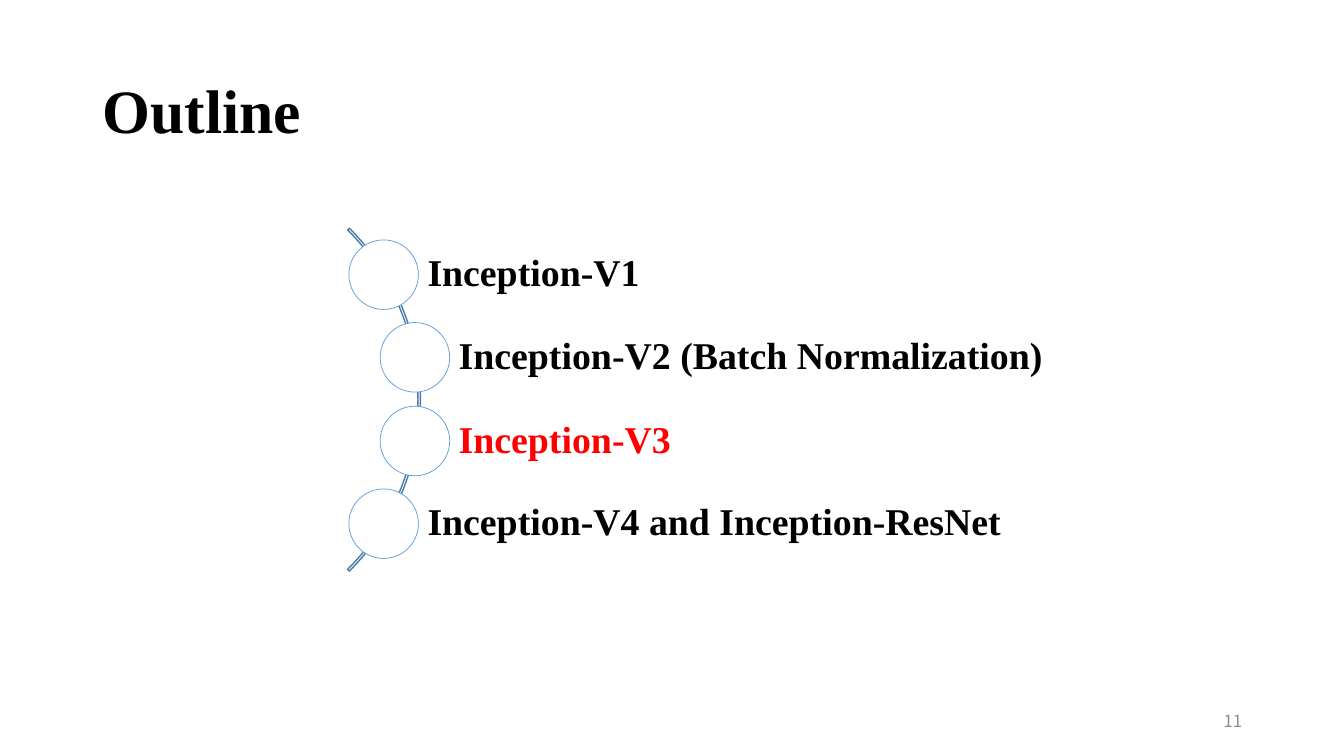
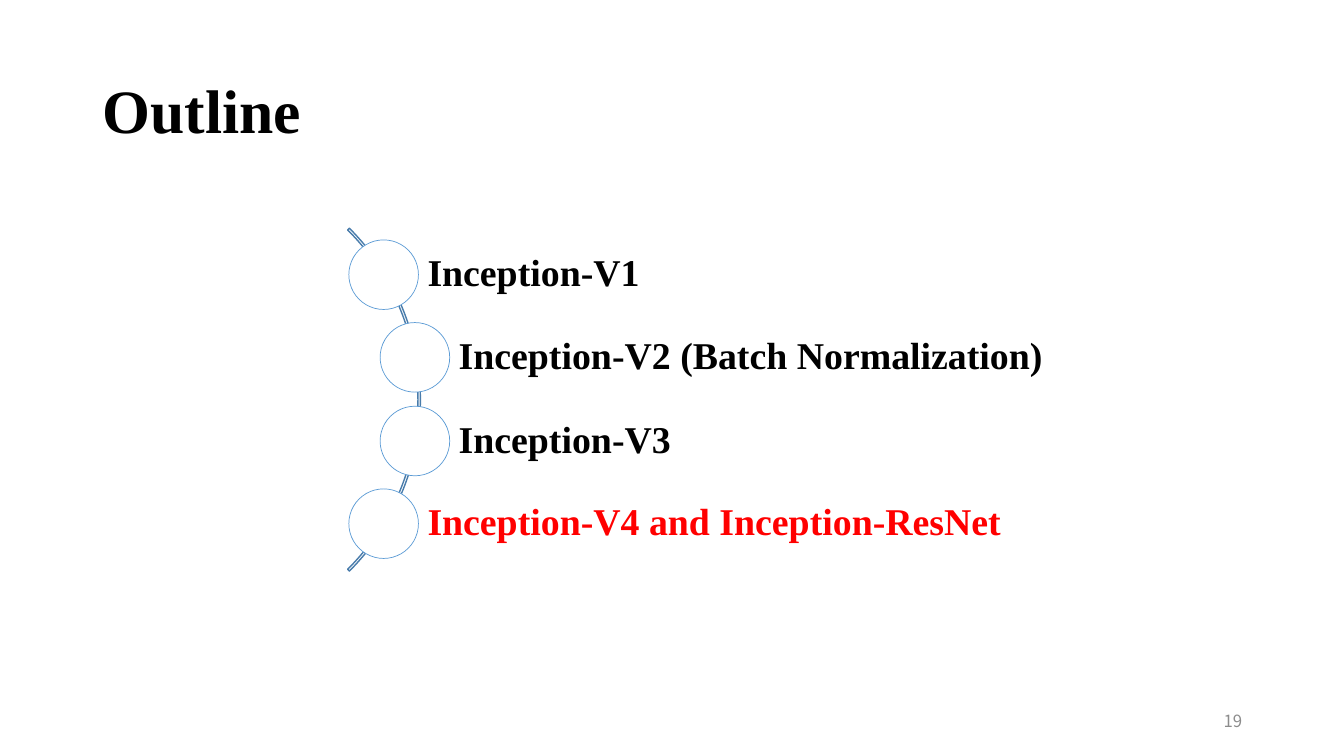
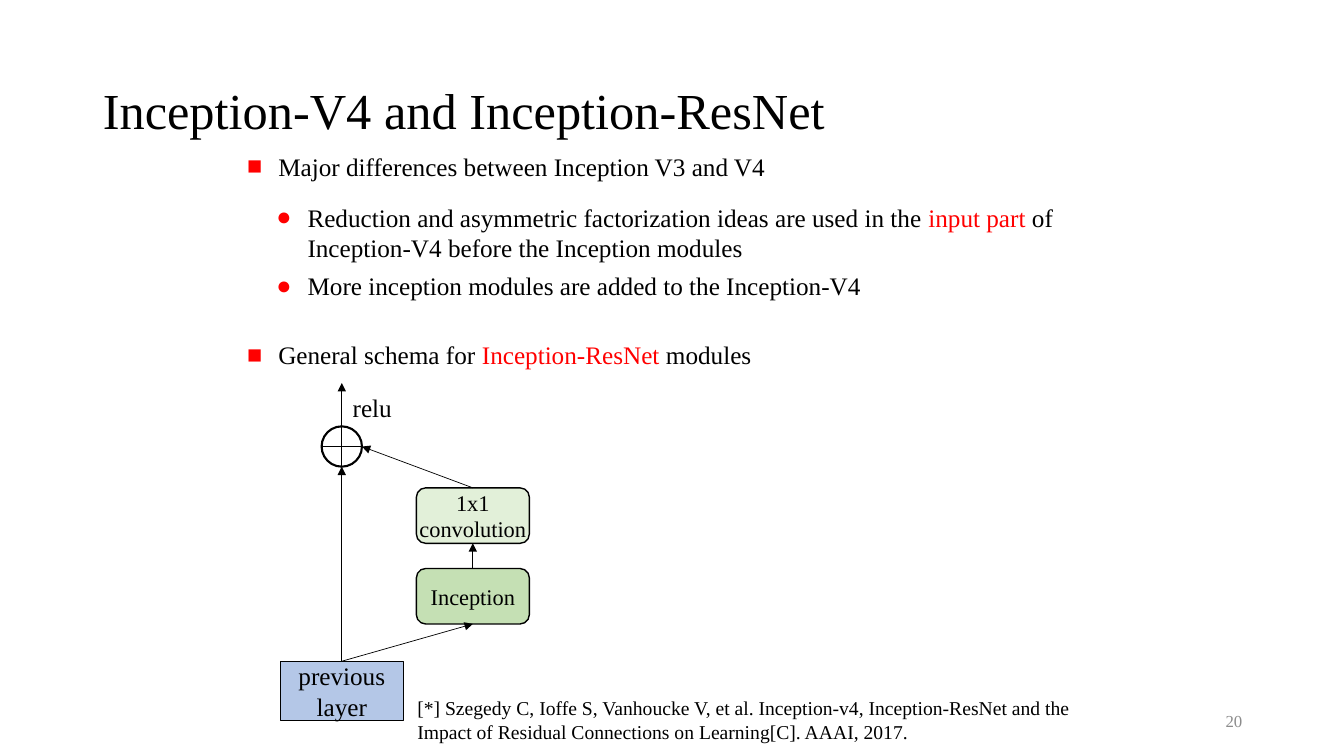
from lxml.etree import SubElement
from pptx import Presentation
from pptx.dml.color import RGBColor
from pptx.enum.shapes import MSO_CONNECTOR as LINK, MSO_SHAPE as SHAPE
from pptx.enum.text import MSO_ANCHOR as ANCHOR, MSO_AUTO_SIZE as FIT, PP_ALIGN as ALIGN
from pptx.oxml.ns import qn
from pptx.util import Emu, Pt

SCALE = 9144  # EMU per px, 100 px to the inch
SERIF, SANS = "Times New Roman", "Noto Sans CJK SC"
BLACK, WHITE, RED, GREY = "000000", "FFFFFF", "FF0000", "8C8C8C"
ARC, RING = "497CAB", "5B9BD5"

TOPICS = ["Inception-V1", "Inception-V2 (Batch Normalization)",
          "Inception-V3", "Inception-V4 and Inception-ResNet"]
SHIFTS = [0, 31, 31, 0]
OUTLINES = [("11", 2), ("19", 3)]  # page, topic in red

# level, space before in points, runs as (text, colour)
POINTS = [
    (0, 0, [("Major differences between Inception V3 and V4", BLACK)]),
    (1, 14.6, [("Reduction and asymmetric factorization ideas are used in the ", BLACK),
               ("input part", RED),
               (" of Inception-V4 before the Inception modules", BLACK)]),
    (1, 6, [("More inception modules are added to the Inception-V4", BLACK)]),
    (0, 27.7, [("General schema for ", BLACK), ("Inception-ResNet", RED),
               (" modules", BLACK)]),
]
BULLETS = "■●"

AXIS, SIDE = 339, 469  # centres of the shortcut and of the branch
SUM_Y, SUM_R = 443, 20
SUM_TOP, SUM_END = SUM_Y - SUM_R, SUM_Y + SUM_R
# text, preset, centre, top, width, height, fill, size
BLOCKS = [
    ("previous layer", SHAPE.RECTANGLE, AXIS, 656, 122, 59, "B4C7E7", 18),
    ("1x1 convolution", SHAPE.ROUNDED_RECTANGLE, SIDE, 484, 112, 55, "E2F0D9", 16),
    ("Inception", SHAPE.ROUNDED_RECTANGLE, SIDE, 564, 112, 55, "C5E0B4", 16),
]
# x1, y1, x2, y2, has arrowhead
LINKS = [
    (AXIS - SUM_R, SUM_Y, AXIS + SUM_R, SUM_Y, False),
    (AXIS, SUM_TOP, AXIS, SUM_END, False),
    (AXIS, SUM_TOP, AXIS, 380, True),
    (AXIS, 656, AXIS, SUM_END, True),
    (AXIS, 656, SIDE, 619, True),
    (SIDE, 564, SIDE, 539, True),
    (SIDE, 484, AXIS + SUM_R, SUM_Y, True),
]
SOURCE = ("[*] Szegedy C, Ioffe S, Vanhoucke V, et al. Inception-v4, Inception-ResNet "
          "and the Impact of Residual Connections on Learning[C]. AAAI, 2017.")


def px(*vals):
    return [Emu(v * SCALE) for v in vals]


def rgb(code):
    return RGBColor.from_string(code)


def style(run, size, color=BLACK, bold=False, face=SERIF):
    font = run.font
    font.name, font.size, font.bold = face, Pt(size), bold
    font.color.rgb = rgb(color)


def write(frame, text, size, color=BLACK, bold=False, face=SERIF,
          align=ALIGN.LEFT, anchor=ANCHOR.MIDDLE, lead=1.0):
    """Fill a frame with one styled paragraph."""
    frame.text = text
    frame.word_wrap, frame.vertical_anchor = True, anchor
    frame.auto_size = FIT.NONE
    para = frame.paragraphs[0]
    para.alignment, para.line_spacing = align, lead
    style(para.runs[0], size, color, bold, face)


def place(shape, *box):
    shape.left, shape.top, shape.width, shape.height = px(*box)


def label(slide, box, text, size, **look):
    frame = slide.shapes.add_textbox(*px(*box)).text_frame
    write(frame, text, size, **look)
    return frame


def draw(slide, kind, box, fill, line, weight):
    shape = slide.shapes.add_shape(kind, *px(*box))
    shape.shadow.inherit = False
    if fill:
        shape.fill.solid()
        shape.fill.fore_color.rgb = rgb(fill)
    else:
        shape.fill.background()
    shape.line.color.rgb = rgb(line)
    shape.line.width = Pt(weight)
    return shape


def link(slide, x1, y1, x2, y2, arrow):
    wire = slide.shapes.add_connector(LINK.STRAIGHT, *px(x1, y1, x2, y2))
    wire.line.color.rgb = rgb(BLACK)
    wire.line.width = Pt(0.5)
    if arrow:
        SubElement(wire.line._get_or_add_ln(), qn("a:tailEnd"), type="triangle")
    SubElement(wire._element.spPr, qn("a:effectLst"))


def start(deck, layout, title, size, bold, page, face):
    """Add a slide with its title and page number."""
    slide = deck.slides.add_slide(deck.slide_layouts[layout])
    head = slide.shapes.title
    place(head, 92, 40, 1150, 145)
    write(head.text_frame, title, size, bold=bold, lead=0.9)
    label(slide, (942, 695, 300, 40), page, 12, color=GREY, face=face, align=ALIGN.RIGHT)
    return slide


def outline(deck, page, current):
    slide = start(deck, 5, "Outline", 44, True, page, SANS)
    arc = draw(slide, SHAPE.BLOCK_ARC, (-64, 156, 481, 481), None, ARC, 1)
    for i, val in enumerate((189, 27, 0.005)):
        arc.adjustments[i] = val
    for i, (topic, shift) in enumerate(zip(TOPICS, SHIFTS)):
        top = 245 + i * 165 // 2
        frame = label(slide, (380 + shift, top, 698 - shift, 55), topic, 27,
                      color=RED if i == current else BLACK, bold=True, lead=0.9)
        frame.margin_left, frame.margin_right = px(44, 7)
        draw(slide, SHAPE.OVAL, (346 + shift, top - 7, 69, 69), WHITE, RING, 0.5)


def bullets(body):
    place(body, 235, 145, 850, 222)
    frame = body.text_frame
    frame.auto_size, frame.vertical_anchor = FIT.NONE, ANCHOR.TOP
    for i, (level, gap, runs) in enumerate(POINTS):
        para = frame.add_paragraph() if i else frame.paragraphs[0]
        para.level, para.space_before, para.space_after = level, Pt(gap), Pt(0)
        for text, color in runs:
            run = para.add_run()
            run.text = text
            style(run, 18, color)
        props = para._p.get_or_add_pPr()
        left, hang = px(31 + 29 * level, -31)
        props.set("marL", str(left))
        props.set("indent", str(hang))
        tint = SubElement(props, qn("a:buClr"))
        SubElement(tint, qn("a:srgbClr"), val=RED)
        SubElement(props, qn("a:buFont"), typeface=SERIF)
        SubElement(props, qn("a:buChar"), char=BULLETS[level])


def schema(deck):
    slide = start(deck, 1, TOPICS[3], 36, False, "20", SERIF)
    bullets(slide.placeholders[1])
    draw(slide, SHAPE.OVAL, (AXIS - SUM_R, SUM_TOP, 2 * SUM_R, 2 * SUM_R), None, BLACK, 1.5)
    for text, kind, mid, top, wide, high, fill, size in BLOCKS:
        block = draw(slide, kind, (mid - wide // 2, top, wide, high), fill, BLACK, 1)
        frame = block.text_frame
        write(frame, text, size, align=ALIGN.CENTER)
        frame.margin_left = frame.margin_right = 0
    for ends in LINKS:
        link(slide, *ends)
    label(slide, (340, 384, 60, 40), "relu", 18, anchor=ANCHOR.TOP)
    label(slide, (404, 686, 689, 57), SOURCE, 14, anchor=ANCHOR.TOP)


def main():
    deck = Presentation()
    deck.slide_width, deck.slide_height = px(1333, 750)
    for page, current in OUTLINES:
        outline(deck, page, current)
    schema(deck)
    deck.save("out.pptx")


if __name__ == "__main__":
    main()
